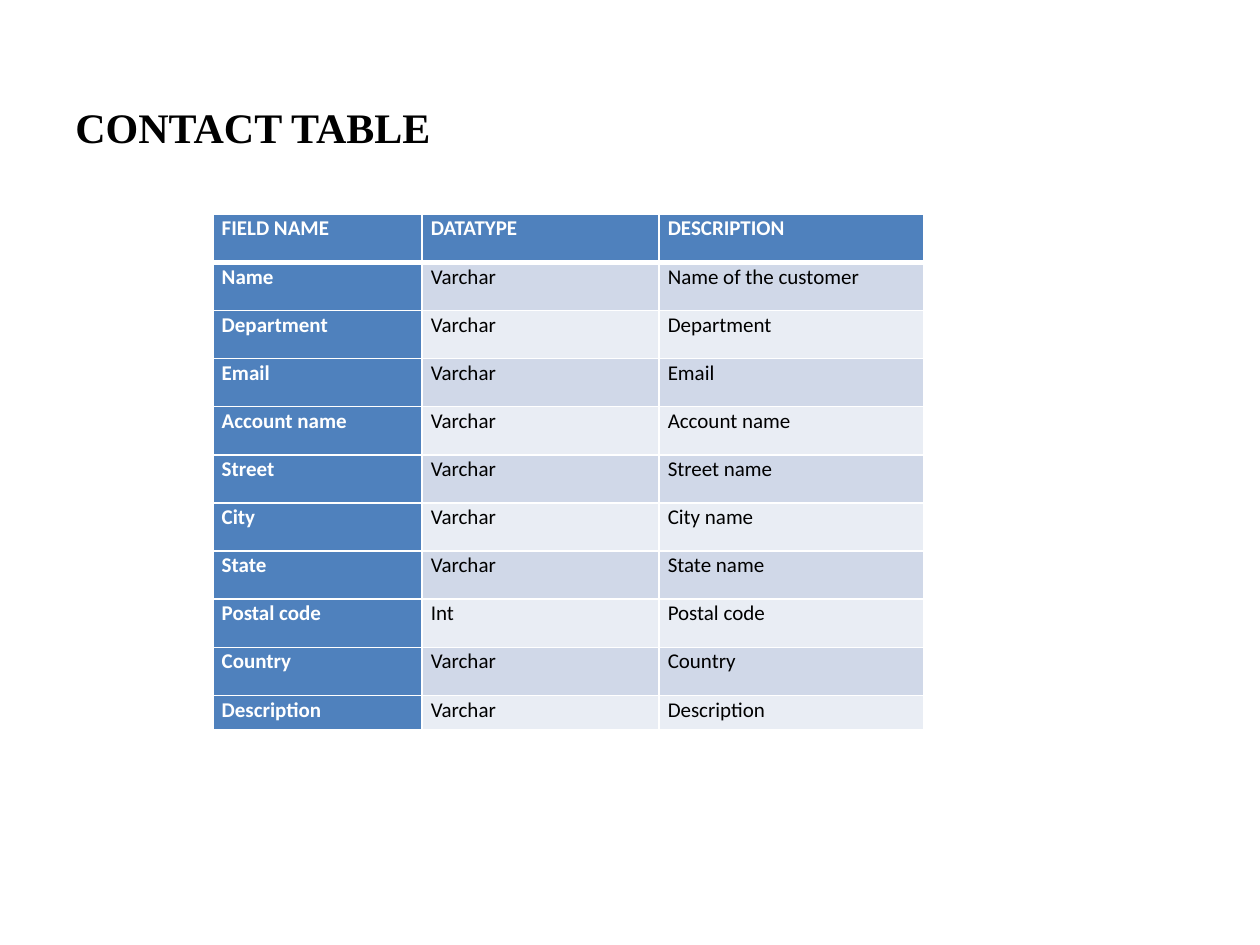
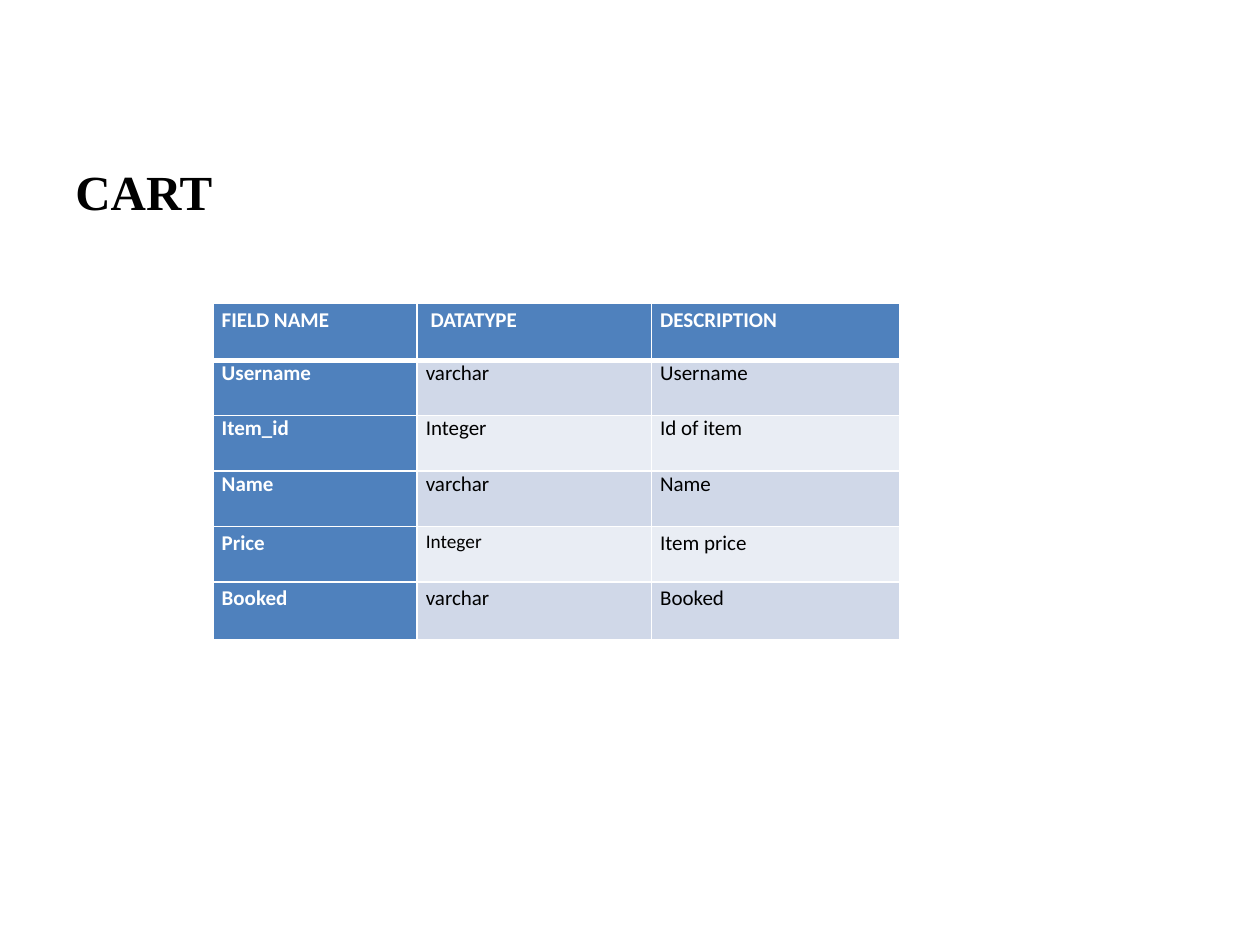
from pptx import Presentation
from pptx.dml.color import RGBColor
from pptx.enum.text import MSO_ANCHOR
from pptx.oxml.xmlchemy import OxmlElement as new_element
from pptx.util import Inches, Pt

# Content: the header row comes first in each table
CONTACT_ROWS = [
    ("FIELD NAME", "DATATYPE", "DESCRIPTION"),
    ("Name", "Varchar", "Name of the customer"),
    ("Department", "Varchar", "Department"),
    ("Email", "Varchar", "Email"),
    ("Account name", "Varchar", "Account name"),
    ("Street", "Varchar", "Street name"),
    ("City", "Varchar", "City name"),
    ("State", "Varchar", "State name"),
    ("Postal code", "Int", "Postal code"),
    ("Country", "Varchar", "Country"),
    ("Description", "Varchar", "Description"),
]
CART_ROWS = [
    ("FIELD NAME", " DATATYPE", "DESCRIPTION"),
    ("Username", "varchar", "Username"),
    ("Item_id", "Integer", "Id of item"),
    ("Name", "varchar", "Name"),
    ("Price", "Integer", "Item price"),
    ("Booked", "varchar", "Booked"),
]
PAGES = [
    dict(title="CONTACT TABLE", title_size=24, title_top=0.76,
         rows=CONTACT_ROWS, table_top=1.7, columns=(1.66, 1.88, 2.1),
         heights=[0.382] * 10 + [0.27],
         spacings=[1.07] * 11, after=8, sizes={}),
    dict(title="CART", title_size=28, title_top=1.23,
         rows=CART_ROWS, table_top=2.41, columns=(1.62, 1.86, 1.97),
         heights=[0.45] + [0.44] * 4 + [0.46],
         spacings=[1.15, 1, 1, 1, 1.15, 1.15], after=0, sizes={(4, 1): 11}),
]

# Shared look
BLACK = RGBColor(0x00, 0x00, 0x00)
WHITE = RGBColor(0xFF, 0xFF, 0xFF)
HEADER_BLUE = RGBColor(0x4F, 0x81, 0xBD)
BANDS = (RGBColor(0xE9, 0xED, 0xF4), RGBColor(0xD0, 0xD8, 0xE8))
TITLE_FONT, TABLE_FONT = "Times New Roman", "Calibri"
TITLE_LEFT, TITLE_WIDTH, TITLE_BOTTOM = 0.5, 9, 6.7
TABLE_LEFT, CELL_MARGIN = 1.69, 0.07


def write(frame, text, font, size, color=BLACK, bold=False,
          before=0, after=0, spacing=1):
    para = frame.paragraphs[0]
    para.space_before, para.space_after = Pt(before), Pt(after)
    para.line_spacing = spacing
    span = para.add_run()
    span.text = text
    span.font.name, span.font.size = font, Pt(size)
    span.font.bold, span.font.color.rgb = bold, color


def add_borders(cell, bottom, top):
    properties = cell._tc.get_or_add_tcPr()
    widths = {"lnL": 1, "lnR": 1, "lnT": top, "lnB": bottom}
    for index, (side, width) in enumerate(widths.items()):
        line = new_element(f"a:{side}")
        line.set("w", str(Pt(width)))
        fill = new_element("a:solidFill")
        color = new_element("a:srgbClr")
        color.set("val", str(WHITE))
        fill.append(color)
        line.append(fill)
        properties.insert(index, line)  # borders go before the fill


def add_title(page, text, size, top):
    box = page.shapes.add_textbox(Inches(TITLE_LEFT), Inches(top),
                                  Inches(TITLE_WIDTH), Inches(TITLE_BOTTOM - top))
    box.text_frame.word_wrap = True
    write(box.text_frame, text, TITLE_FONT, size, bold=True, before=size * 0.2)


def add_field_table(page, rows, top, columns, heights, spacings, after, sizes):
    table = page.shapes.add_table(
        len(rows), len(columns), Inches(TABLE_LEFT), Inches(top),
        Inches(sum(columns)), Inches(sum(heights))).table
    table.first_col = True
    for column, width in zip(table.columns, columns):
        column.width = Inches(width)
    for r, (row, height) in enumerate(zip(rows, heights)):
        table.rows[r].height = Inches(height)
        for c, text in enumerate(row):
            cell = table.cell(r, c)
            heading = r == 0 or c == 0
            cell.margin_left = cell.margin_right = Inches(CELL_MARGIN)
            cell.margin_top = cell.margin_bottom = 0
            cell.vertical_anchor = MSO_ANCHOR.TOP
            cell.fill.solid()
            cell.fill.fore_color.rgb = HEADER_BLUE if heading else BANDS[r % 2]
            add_borders(cell, bottom=3 if r == 0 else 1, top=3 if r == 1 else 1)
            write(cell.text_frame, text, TABLE_FONT, sizes.get((r, c), 12),
                  color=WHITE if heading else BLACK, bold=heading,
                  after=after, spacing=spacings[r])


def main():
    deck = Presentation()
    deck.slide_width, deck.slide_height = Inches(10), Inches(7.5)
    for plan in PAGES:
        page = deck.slides.add_slide(deck.slide_layouts[6])
        add_title(page, plan["title"], plan["title_size"], plan["title_top"])
        add_field_table(page, plan["rows"], plan["table_top"], plan["columns"],
                        plan["heights"], plan["spacings"], plan["after"],
                        plan["sizes"])
    deck.save("out.pptx")


if __name__ == "__main__":
    main()
